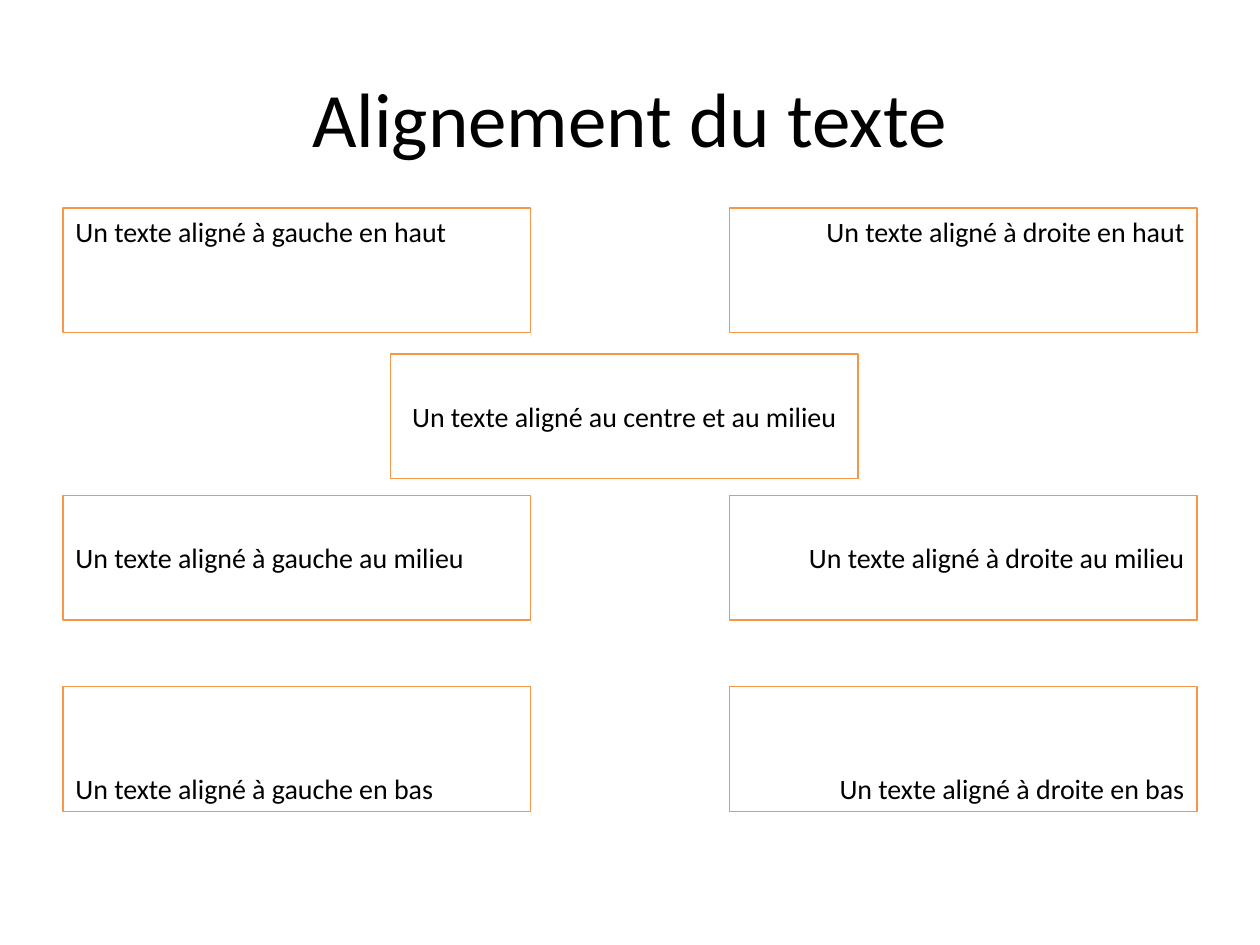
import pptx
import pptx.dml.color
import pptx.enum.shapes
import pptx.enum.text
import pptx.util

PX = 9144
BLACK = pptx.dml.color.RGBColor(0x00, 0x00, 0x00)
ORANGE = pptx.dml.color.RGBColor(0xF7, 0x96, 0x46)
FONT = "Calibri"
ALIGN = pptx.enum.text.PP_ALIGN
ANCHOR = pptx.enum.text.MSO_ANCHOR
BOX_WIDTH, BOX_HEIGHT = 371, 99


def write_text(shape, text, size, alignment, anchor):
    """Write one aligned paragraph in a shape."""
    frame = shape.text_frame
    frame.word_wrap = True
    frame.vertical_anchor = anchor
    paragraph = frame.paragraphs[0]
    paragraph.text = text
    paragraph.alignment = alignment
    paragraph.font.name = FONT
    paragraph.font.size = pptx.util.Pt(size)
    paragraph.font.color.rgb = BLACK


def add_title(slide, left, top, width, height, text):
    """Add the centred slide title."""
    shape = slide.shapes.add_textbox(left * PX, top * PX, width * PX, height * PX)
    write_text(shape, text, 44, ALIGN.CENTER, ANCHOR.MIDDLE)


def add_sample(slide, left, top, text, alignment, anchor):
    """Add one outlined box showing a text alignment."""
    shape = slide.shapes.add_shape(
        pptx.enum.shapes.MSO_SHAPE.RECTANGLE,
        left * PX, top * PX, BOX_WIDTH * PX, BOX_HEIGHT * PX)
    shape.shadow.inherit = False
    shape.fill.background()
    shape.line.color.rgb = ORANGE
    shape.line.width = pptx.util.Pt(0.75)
    write_text(shape, text, 16, alignment, anchor)


def add_samples(slide, left, top, width):
    """Add the left and right columns of boxes, then the centred one."""
    columns = [(left, "à gauche", ALIGN.LEFT),
               (left + width - BOX_WIDTH, "à droite", ALIGN.RIGHT)]
    rows = [(0, "en haut", ANCHOR.TOP),
            (228, "au milieu", ANCHOR.MIDDLE),
            (380, "en bas", ANCHOR.BOTTOM)]
    for offset, height_name, anchor in rows:
        for column_left, side_name, alignment in columns:
            add_sample(slide, column_left, top + offset,
                       f"Un texte aligné {side_name} {height_name}", alignment, anchor)
    add_sample(slide, left + 260, top + 116,
               "Un texte aligné au centre et au milieu", ALIGN.CENTER, ANCHOR.MIDDLE)


def main():
    """Build and save the presentation."""
    presentation = pptx.Presentation()
    presentation.slide_width = 1000 * PX
    presentation.slide_height = 750 * PX
    slide = presentation.slides.add_slide(presentation.slide_layouts[6])
    add_title(slide, 50, 30, 900, 125, "Alignement du texte")
    add_samples(slide, 50, 165, 900)
    presentation.save("out.pptx")


if __name__ == "__main__":
    main()
